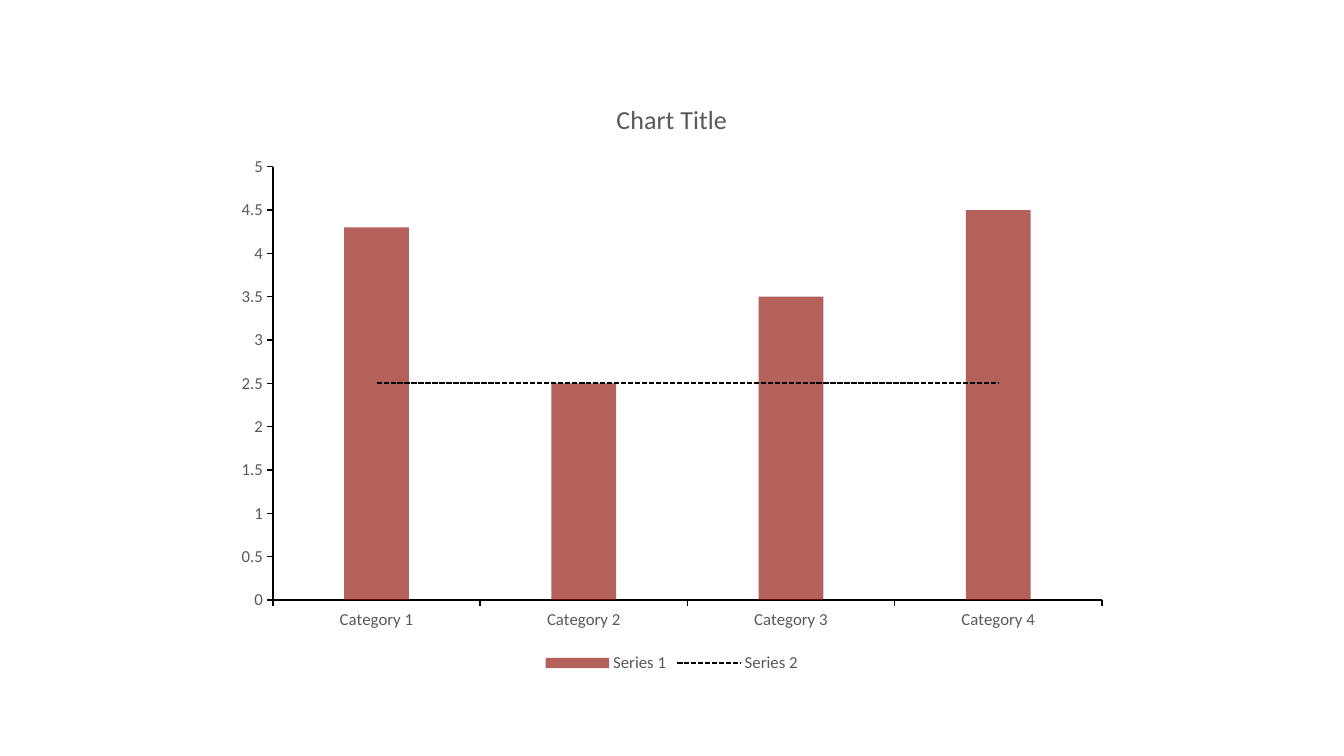
from copy import deepcopy

from pptx import Presentation
from pptx.chart.data import CategoryChartData
from pptx.dml.color import RGBColor
from pptx.enum.chart import XL_CHART_TYPE as ChartType
from pptx.enum.chart import XL_LEGEND_POSITION as LegendPos
from pptx.enum.chart import XL_MARKER_STYLE as Marker
from pptx.enum.chart import XL_TICK_MARK as Tick
from pptx.enum.dml import MSO_LINE_DASH_STYLE as Dash
from pptx.oxml import parse_xml
from pptx.oxml.ns import nsdecls
from pptx.util import Cm, Pt

FONT = "Calibri"
BLACK, GREY, RED = "000000", "595959", "8B0D03"


def rgb(code):
    return RGBColor.from_string(code)


def style_font(font, size, color):
    font.name = FONT
    font.size = Pt(size)
    font.bold = False
    font.color.rgb = rgb(color)


def style_line(line, color, width):
    line.color.rgb = rgb(color)
    line.width = Pt(width)


def style_axis(axis):
    axis.has_major_gridlines = False
    axis.major_tick_mark = Tick.OUTSIDE
    axis.minor_tick_mark = Tick.NONE
    style_font(axis.tick_labels.font, 12, GREY)
    style_line(axis.format.line, BLACK, 1)


def add_column_chart(slide):
    data = CategoryChartData()
    data.categories = [f"Category {n}" for n in range(1, 5)]
    data.add_series("Series 1", (4.3, 2.5, 3.5, 4.5))
    data.add_series("Series 2", (2.5,) * 4)
    frame = slide.shapes.add_chart(ChartType.COLUMN_CLUSTERED, Cm(5.64), Cm(2),
                                   Cm(22.58), Cm(15.06), data)
    chart = frame.chart
    style_font(chart.font, 10, BLACK)
    return chart


def move_last_series_to_line(chart):
    """Turn the last column series into a line on the same axes."""
    bars = chart.element.xpath(".//c:barChart")[0]
    ser = bars.xpath("c:ser")[-1]
    for flag in ser.xpath("c:invertIfNegative"):
        ser.remove(flag)
    lines = parse_xml(
        f'<c:lineChart {nsdecls("c")}><c:grouping val="standard"/>'
        '<c:varyColors val="0"/><c:marker val="1"/></c:lineChart>')
    lines.insert(2, ser)
    for ax_id in bars.xpath("c:axId"):
        lines.append(deepcopy(ax_id))
    bars.addnext(lines)


def style_columns(chart):
    plot = chart.plots[0]
    plot.vary_by_categories = False
    plot.gap_width = 219
    fill = plot.series[0].format.fill
    fill.solid()
    fill.fore_color.rgb = rgb(RED)
    # 65 % opacity
    clr = chart.element.xpath(".//c:barChart/c:ser/c:spPr/a:solidFill/a:srgbClr")[0]
    clr.append(parse_xml(f'<a:alpha {nsdecls("a")} val="65000"/>'))


def style_reference_line(chart):
    series = chart.plots[1].series[0]
    series.smooth = False
    series.marker.style = Marker.NONE
    style_line(series.format.line, BLACK, 1.25)
    series.format.line.dash_style = Dash.SQUARE_DOT


def add_title(chart, text):
    chart.has_title = True
    p = chart.chart_title.text_frame.paragraphs[0]
    r = p.add_run()
    r.text = text
    style_font(r.font, 18.6, GREY)
    chart.chart_title.include_in_layout = False


def add_legend(chart):
    chart.has_legend = True
    chart.legend.position = LegendPos.BOTTOM
    chart.legend.include_in_layout = False
    style_font(chart.legend.font, 12, GREY)


def main():
    prs = Presentation()
    prs.slide_width, prs.slide_height = Cm(33.87), Cm(19.05)
    slide = prs.slides.add_slide(prs.slide_layouts[6])

    # Columns with a dashed reference line
    chart = add_column_chart(slide)
    move_last_series_to_line(chart)
    style_columns(chart)
    style_reference_line(chart)

    # Axes
    style_axis(chart.category_axis)
    style_axis(chart.value_axis)
    chart.value_axis.minimum_scale = 0
    chart.value_axis.maximum_scale = 5
    chart.value_axis.major_unit = 0.5

    # Title and legend
    add_title(chart, "Chart Title")
    add_legend(chart)

    prs.save("out.pptx")


if __name__ == "__main__":
    main()
